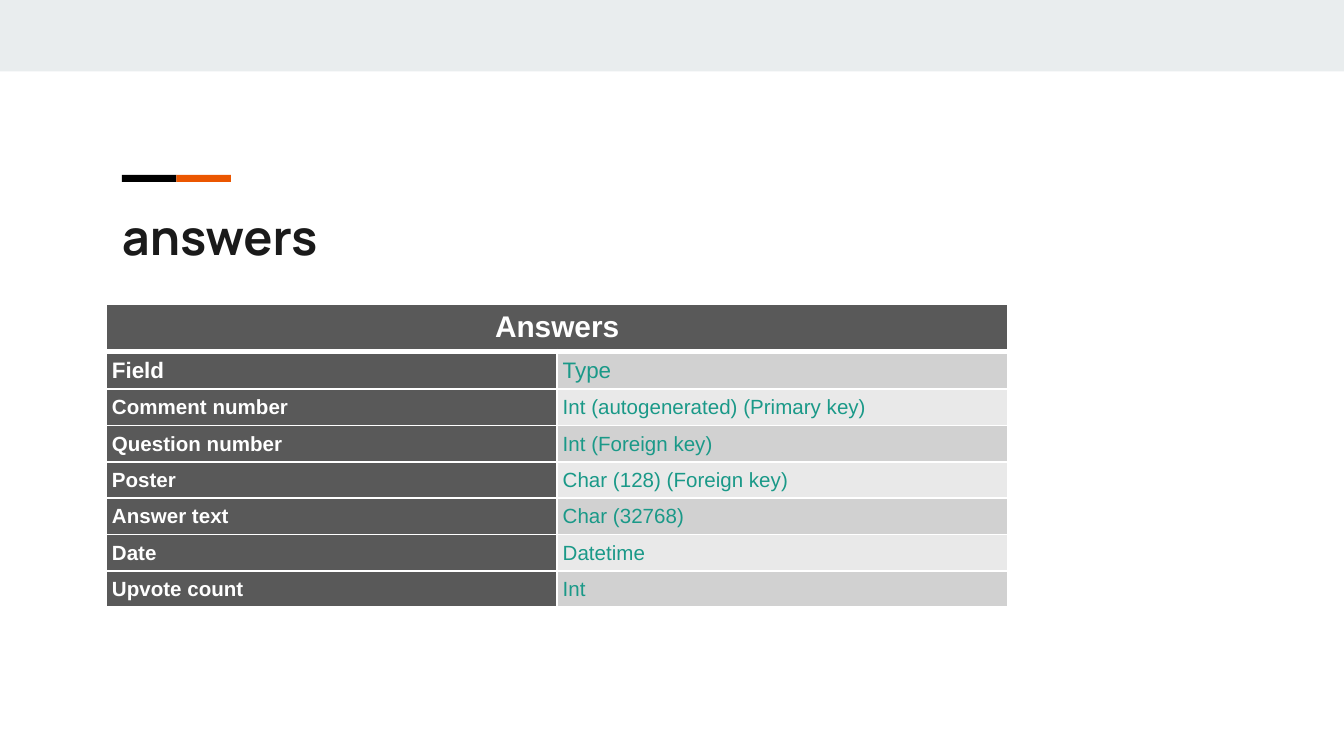
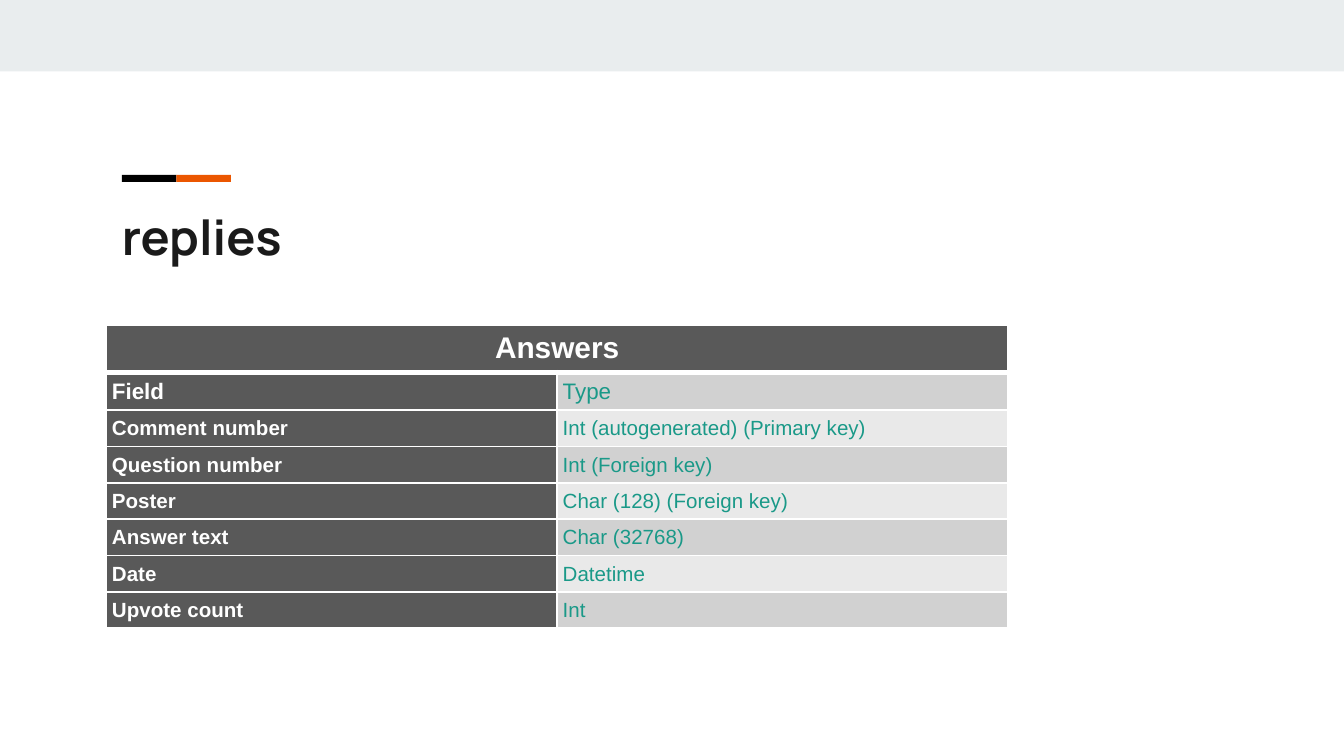
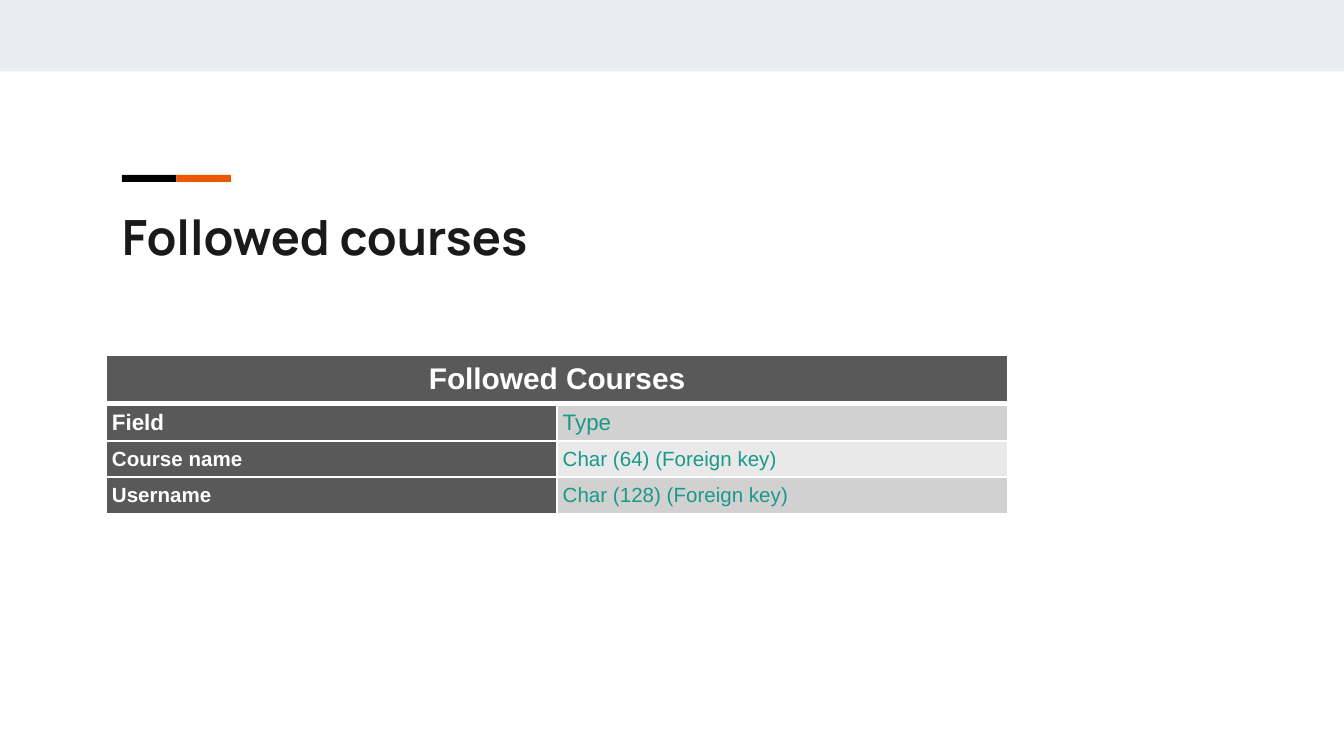
"""Build three slides that describe database tables."""
import lxml.etree
import pptx
import pptx.dml.color
import pptx.enum.shapes
import pptx.enum.text
import pptx.oxml.ns
import pptx.util

RGB = pptx.dml.color.RGBColor
BAND = RGB(0xE9, 0xED, 0xEE)
ORANGE = RGB(0xEB, 0x56, 0x00)
BLACK = RGB(0x00, 0x00, 0x00)
INK = RGB(0x1A, 0x1A, 0x1A)
WHITE = RGB(0xFF, 0xFF, 0xFF)
HEADER_GREY = RGB(0x59, 0x59, 0x59)
DARK_STRIPE = RGB(0xD1, 0xD1, 0xD1)
LIGHT_STRIPE = RGB(0xE9, 0xE9, 0xE9)
TEAL = RGB(0x1A, 0x99, 0x88)

TITLE_FONT = "Manrope"
TABLE_FONT = "Arial"
THIN, THICK = 0.96, 3
CAPTION_HEIGHT, HEADING_HEIGHT, FIELD_HEIGHT = 34, 27, 26
TITLE_ONLY_LAYOUT = 5

ANSWER_FIELDS = [
    ("Comment number", "Int (autogenerated) (Primary key)"),
    ("Question number", "Int (Foreign key)"),
    ("Poster", "Char (128) (Foreign key)"),
    ("Answer text", "Char (32768)"),
    ("Date", "Datetime"),
    ("Upvote count", "Int"),
]
COURSE_FIELDS = [
    ("Course name", "Char (64) (Foreign key)"),
    ("Username", "Char (128) (Foreign key)"),
]
PAGES = [
    ("answers", "Answers", ANSWER_FIELDS, 217),
    ("replies", "Answers", ANSWER_FIELDS, 232),
    ("Followed courses", "Followed Courses", COURSE_FIELDS, 254),
]


def px(length):
    """Turn pixels, 96 to the inch, into EMU."""
    return pptx.util.Emu(length * 9525)


def write(frame, text, font, size, color, bold=False, align=pptx.enum.text.PP_ALIGN.LEFT):
    """Put one formatted paragraph into a text frame."""
    para = frame.paragraphs[0]
    para.alignment = align
    span = para.add_run()
    span.text = text
    span.font.name = font
    span.font.size = pptx.util.Pt(size)
    span.font.color.rgb = color
    span.font.bold = bold


def add_bar(page, box, color):
    """Draw a plain filled rectangle."""
    bar = page.shapes.add_shape(pptx.enum.shapes.MSO_SHAPE.RECTANGLE, *map(px, box))
    bar.shadow.inherit = False
    bar.fill.solid()
    bar.fill.fore_color.rgb = color
    bar.line.fill.background()


def add_accent(page, box):
    """Split a box into a black and an orange half."""
    left, top, width, height = box
    half = width // 2
    for index, color in enumerate((BLACK, ORANGE)):
        add_bar(page, (left + index * half, top, half, height), color)


def place_title(page, box, text):
    """Move the title placeholder to a box and fill it."""
    title = page.shapes.title
    title.left, title.top, title.width, title.height = map(px, box)
    frame = title.text_frame
    frame.auto_size = pptx.enum.text.MSO_AUTO_SIZE.NONE
    frame.vertical_anchor = pptx.enum.text.MSO_ANCHOR.TOP
    frame.margin_left = frame.margin_right = px(10)
    frame.margin_top = frame.margin_bottom = px(10)
    write(frame, text, TITLE_FONT, 26, INK, bold=True)


def set_borders(cell, top, bottom):
    """Give a cell white borders with the top and bottom widths in points."""
    properties = cell._tc.get_or_add_tcPr()
    for side, width in (("L", THIN), ("R", THIN), ("T", top), ("B", bottom)):
        line = lxml.etree.SubElement(
            properties, pptx.oxml.ns.qn(f"a:ln{side}"), w=str(pptx.util.Pt(width)))
        fill = lxml.etree.SubElement(line, pptx.oxml.ns.qn("a:solidFill"))
        lxml.etree.SubElement(fill, pptx.oxml.ns.qn("a:srgbClr"), val=str(WHITE))


def style_cell(cell, color, top=THIN, bottom=THIN):
    """Set the borders, fill and margins of a cell."""
    set_borders(cell, top, bottom)
    cell.fill.solid()
    cell.fill.fore_color.rgb = color
    cell.margin_left = cell.margin_right = px(4)
    cell.margin_top, cell.margin_bottom = px(5), px(4)


def add_field_table(page, left, top, width, caption, fields):
    """Draw a captioned table of field names and types."""
    rows = [("Field", "Type"), *fields]
    heights = [CAPTION_HEIGHT, HEADING_HEIGHT] + [FIELD_HEIGHT] * len(fields)
    box = map(px, (left, top, width, sum(heights)))
    table = page.shapes.add_table(len(heights), 2, *box).table
    for row, height in zip(table.rows, heights):
        row.height = px(height)
    for column in range(2):
        style_cell(table.cell(0, column), HEADER_GREY, bottom=THICK)
    table.cell(0, 0).merge(table.cell(0, 1))
    write(table.cell(0, 0).text_frame, caption, TABLE_FONT, 16, WHITE, bold=True,
          align=pptx.enum.text.PP_ALIGN.CENTER)
    for number, (name, kind) in enumerate(rows, start=1):
        size, edge = (12, THICK) if number == 1 else (11, THIN)
        stripe = DARK_STRIPE if number % 2 else LIGHT_STRIPE
        name_cell, kind_cell = table.cell(number, 0), table.cell(number, 1)
        style_cell(name_cell, HEADER_GREY, top=edge)
        style_cell(kind_cell, stripe, top=edge)
        write(name_cell.text_frame, name, TABLE_FONT, size, WHITE, bold=True)
        write(kind_cell.text_frame, kind, TABLE_FONT, size, TEAL)


def add_page(deck, title, caption, fields, table_top):
    """Add one slide with band, accent, title and table."""
    page = deck.slides.add_slide(deck.slide_layouts[TITLE_ONLY_LAYOUT])
    add_bar(page, (0, 0, 960, 51), BAND)
    add_accent(page, (87, 125, 78, 5))
    place_title(page, (77, 138, 807, 57), title)
    add_field_table(page, 76, table_top, 644, caption, fields)


def main():
    """Build and save the deck."""
    deck = pptx.Presentation()
    deck.slide_width, deck.slide_height = px(960), px(540)
    for content in PAGES:
        add_page(deck, *content)
    deck.save("out.pptx")


if __name__ == "__main__":
    main()
